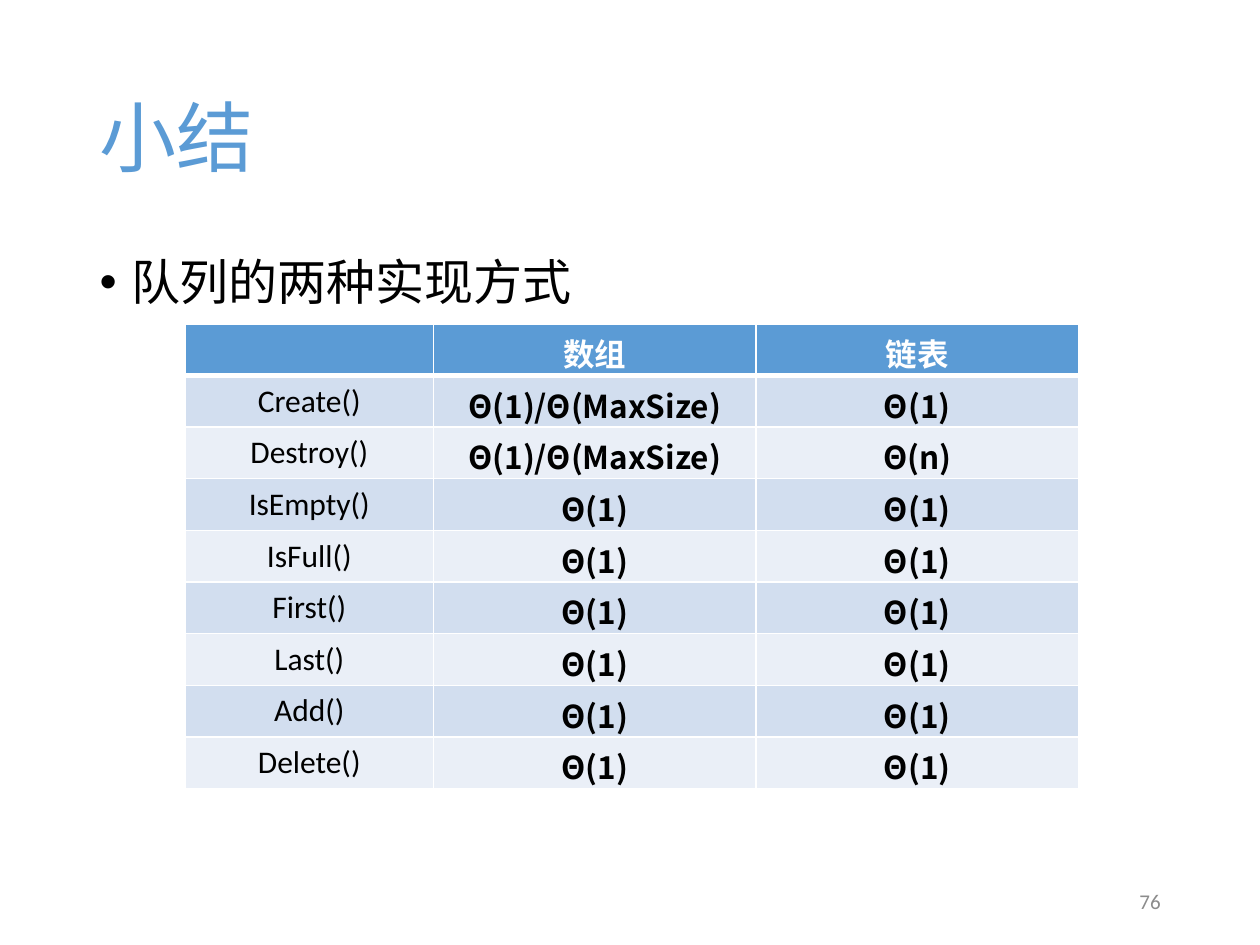
from lxml.etree import SubElement
from pptx import Presentation
from pptx.dml.color import RGBColor
from pptx.enum.text import MSO_ANCHOR as Anchor, PP_ALIGN as Align
from pptx.oxml.ns import qn
from pptx.util import Inches, Pt

BLUE = RGBColor(0x5B, 0x9B, 0xD5)
BANDS = RGBColor(0xD2, 0xDE, 0xEF), RGBColor(0xEA, 0xEF, 0xF7)
GRAY = RGBColor(0x8C, 0x8C, 0x8C)
BLACK = RGBColor(0, 0, 0)
WHITE = RGBColor(255, 255, 255)
LATIN = "Calibri"
CJK = "Noto Sans CJK SC"

TITLE = "小结"
BULLET = "队列的两种实现方式"
PAGE_NUMBER = "76"
ROWS = [
    ("", "数组", "链表"),
    ("Create()", "Θ(1)/Θ(MaxSize)", "Θ(1)"),
    ("Destroy()", "Θ(1)/Θ(MaxSize)", "Θ(n)"),
    *[(name, "Θ(1)", "Θ(1)")
      for name in ("IsEmpty()", "IsFull()", "First()", "Last()", "Add()", "Delete()")],
]
COLUMN_WIDTHS = (1.97, 2.56, 2.56)
ROW_HEIGHT = 0.41


def write(frame, text, size=18, font=CJK, color=BLACK, bold=False,
          align=Align.LEFT, anchor=Anchor.MIDDLE):
    frame.word_wrap = True
    frame.vertical_anchor = anchor
    para = frame.paragraphs[0]
    para.alignment = align
    span = para.add_run()
    span.text = text
    span.font.size = Pt(size)
    span.font.name = font
    span.font.bold = bold
    span.font.color.rgb = color
    SubElement(span.font._element, qn("a:ea"), typeface=CJK)
    return para


def place(shape, left, top, width, height):
    shape.left, shape.top = Inches(left), Inches(top)
    shape.width, shape.height = Inches(width), Inches(height)


def add_borders(cell, bottom):
    properties = cell._tc.get_or_add_tcPr()
    for side, width in (("L", 1), ("R", 1), ("T", 1), ("B", bottom)):
        line = SubElement(properties, qn(f"a:ln{side}"), w=str(Pt(width)))
        fill = SubElement(line, qn("a:solidFill"))
        SubElement(fill, qn("a:srgbClr"), val=str(WHITE))


deck = Presentation()
deck.slide_width, deck.slide_height = Inches(10), Inches(7.5)
page = deck.slides.add_slide(deck.slide_layouts[1])

title, body = page.placeholders
place(title, 0.69, 0.4, 8.62, 1.45)
write(title.text_frame, TITLE, size=44, color=BLUE).line_spacing = 0.9

place(body, 0.69, 2, 8.62, 4.76)
para = write(body.text_frame, BULLET, size=28, anchor=Anchor.TOP)
para.line_spacing = 0.9
para.space_before = Pt(10)
layout = para._p.get_or_add_pPr()
layout.set("marL", str(Inches(0.25)))
layout.set("indent", str(Inches(-0.25)))

number_box = page.shapes.add_textbox(Inches(7.06), Inches(6.95), Inches(2.25), Inches(0.4))
write(number_box.text_frame, PAGE_NUMBER, size=12, font=LATIN, color=GRAY, align=Align.RIGHT)

table = page.shapes.add_table(
    len(ROWS), len(COLUMN_WIDTHS), Inches(1.47), Inches(2.57),
    Inches(sum(COLUMN_WIDTHS)), Inches(ROW_HEIGHT * len(ROWS))).table
for column, width in zip(table.columns, COLUMN_WIDTHS):
    column.width = Inches(width)

for r, values in enumerate(ROWS):
    table.rows[r].height = Inches(ROW_HEIGHT)
    header = r == 0
    for c, text in enumerate(values):
        cell = table.cell(r, c)
        add_borders(cell, bottom=3 if header else 1)
        cell.fill.solid()
        cell.fill.fore_color.rgb = BLUE if header else BANDS[(r - 1) % 2]
        cell.vertical_anchor = Anchor.MIDDLE
        if text:
            write(cell.text_frame, text, font=LATIN if header or c == 0 else CJK,
                  color=WHITE if header else BLACK, bold=header or c > 0,
                  align=Align.CENTER)

deck.save("out.pptx")
